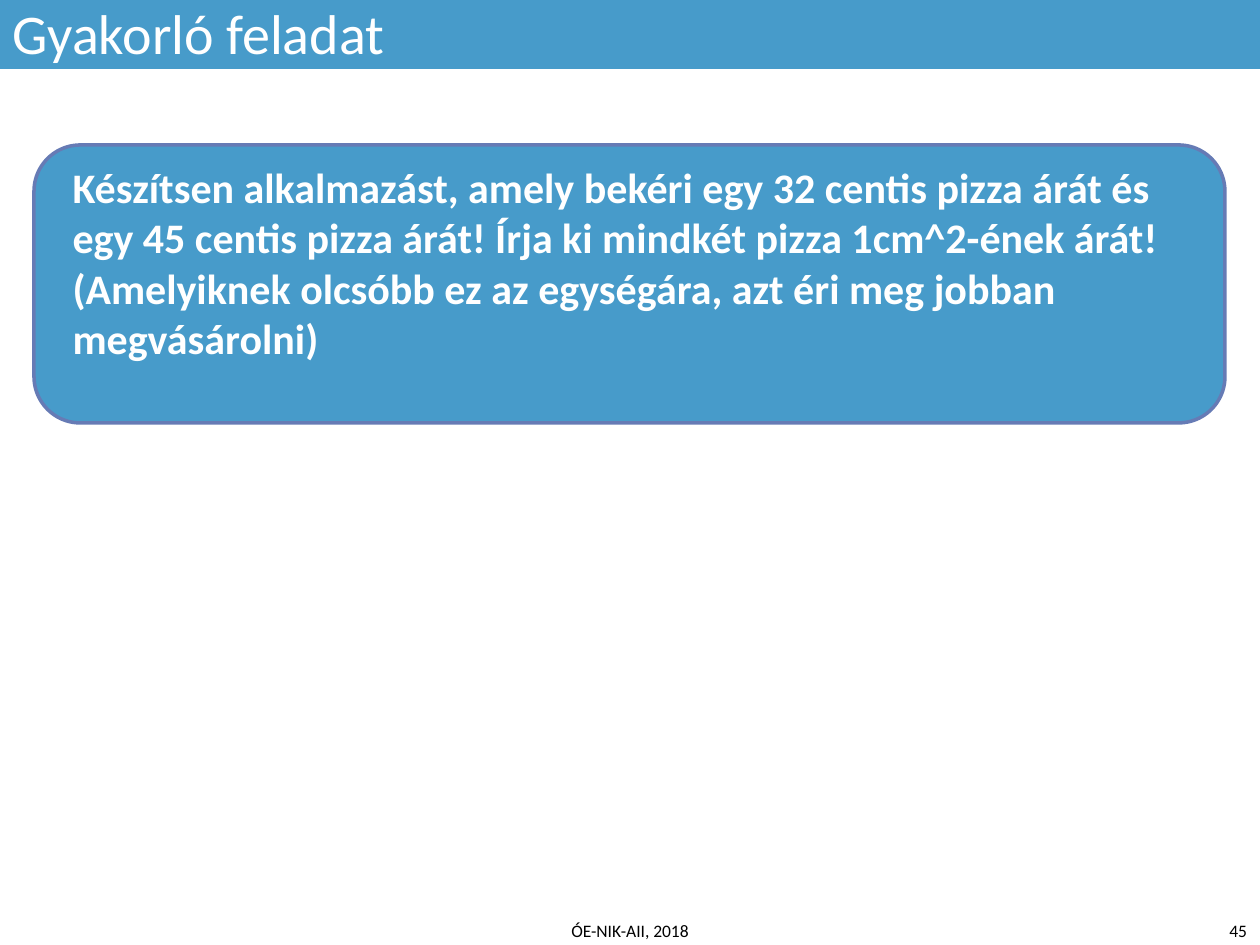
"""Build the practice task slide: title bar, task box and footer."""
from pptx import Presentation
from pptx.dml.color import RGBColor
from pptx.enum.shapes import MSO_SHAPE
from pptx.enum.text import MSO_ANCHOR, PP_ALIGN
from pptx.util import Emu, Pt

RECT, ROUND = MSO_SHAPE.RECTANGLE, MSO_SHAPE.ROUNDED_RECTANGLE
TOP, MIDDLE = MSO_ANCHOR.TOP, MSO_ANCHOR.MIDDLE
LEFT, CENTER, RIGHT = PP_ALIGN.LEFT, PP_ALIGN.CENTER, PP_ALIGN.RIGHT
BLUE = RGBColor(0x47, 0x9B, 0xCA)
VIOLET = RGBColor(0x66, 0x7B, 0xB5)
WHITE = RGBColor(0xFF, 0xFF, 0xFF)
BLACK = RGBColor(0x00, 0x00, 0x00)
FONT = "Calibri"
WIDE, HIGH = 1260, 945
PAD = (13, 6, 13, 6)

TITLE = "Gyakorló feladat"
TASK = (
    "Készítsen alkalmazást, amely bekéri egy 32 centis pizza árát és "
    "egy 45 centis pizza árát! Írja ki mindkét pizza 1cm^2-ének árát! "
    "(Amelyiknek olcsóbb ez az egységára, azt éri meg jobban megvásárolni)"
)
FOOTER = [
    ("ÓE-NIK-AII, 2018", 284, 692, CENTER),
    ("45", 976, 284, RIGHT),
]


def px(n):
    return Emu(round(n * 914400 / 126))


def write(shape, text, size, color, pad=PAD, align=LEFT, anchor=TOP):
    frame = shape.text_frame
    frame.word_wrap = True
    frame.vertical_anchor = anchor
    (frame.margin_left, frame.margin_top,
     frame.margin_right, frame.margin_bottom) = map(px, pad)
    para = frame.paragraphs[0]
    para.text = text
    para.alignment = align
    para.font.name = FONT
    para.font.size = Pt(size)
    para.font.color.rgb = color
    return para


def panel(slide, kind, box):
    shape = slide.shapes.add_shape(kind, *map(px, box))
    shape.shadow.inherit = False
    shape.fill.solid()
    shape.fill.fore_color.rgb = BLUE
    return shape


def main():
    deck = Presentation()
    deck.slide_width, deck.slide_height = px(WIDE), px(HIGH)
    slide = deck.slides.add_slide(deck.slide_layouts[6])

    card = panel(slide, ROUND, (34, 145, 1191, 278))
    card.line.color.rgb = VIOLET
    card.line.width = Pt(2)
    write(card, TASK, 24, WHITE, (25, 3, 13, 3)).font.bold = True

    for text, left, width, align in FOOTER:
        note = slide.shapes.add_textbox(*map(px, (left, 915, width, 30)))
        write(note, text, 10, BLACK, align=align, anchor=MIDDLE)

    bar = panel(slide, RECT, (0, 0, WIDE, 69))
    bar.line.fill.background()
    write(bar, TITLE, 32, WHITE).line_spacing = 0.9

    deck.save("out.pptx")


if __name__ == "__main__":
    main()
